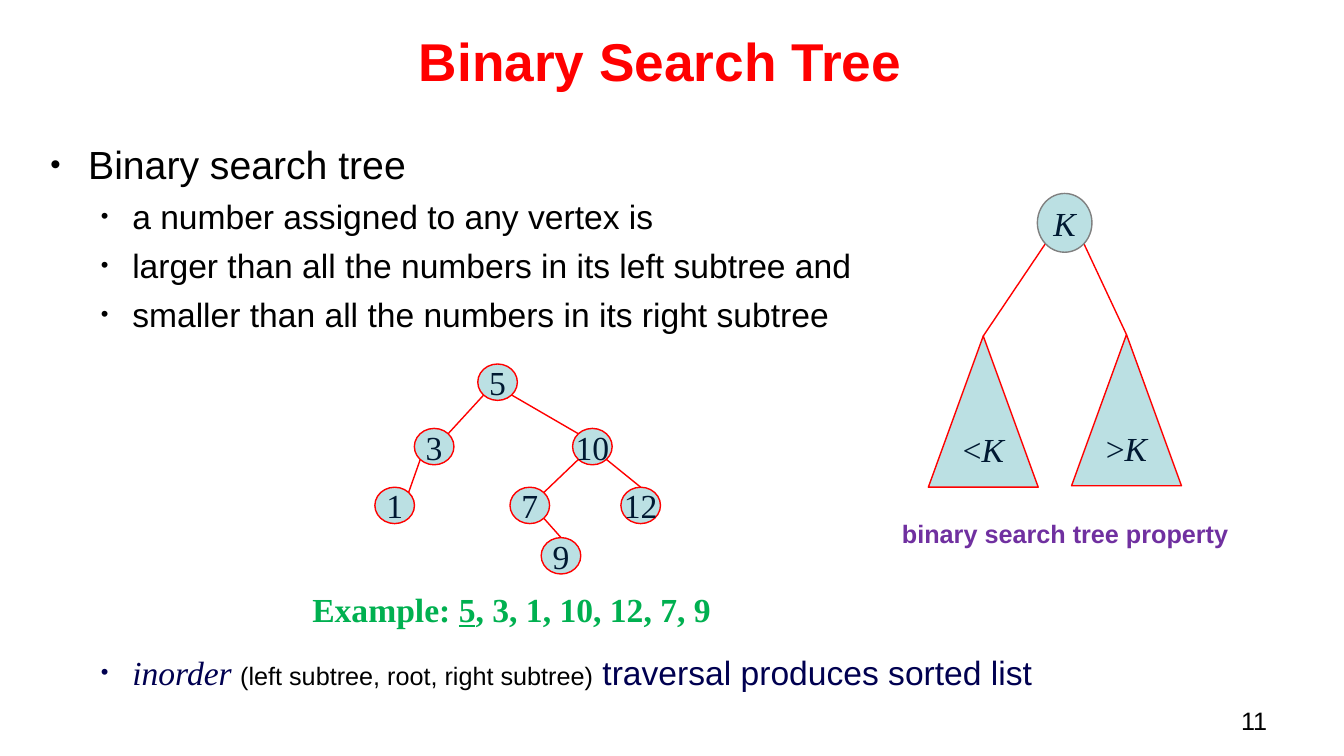
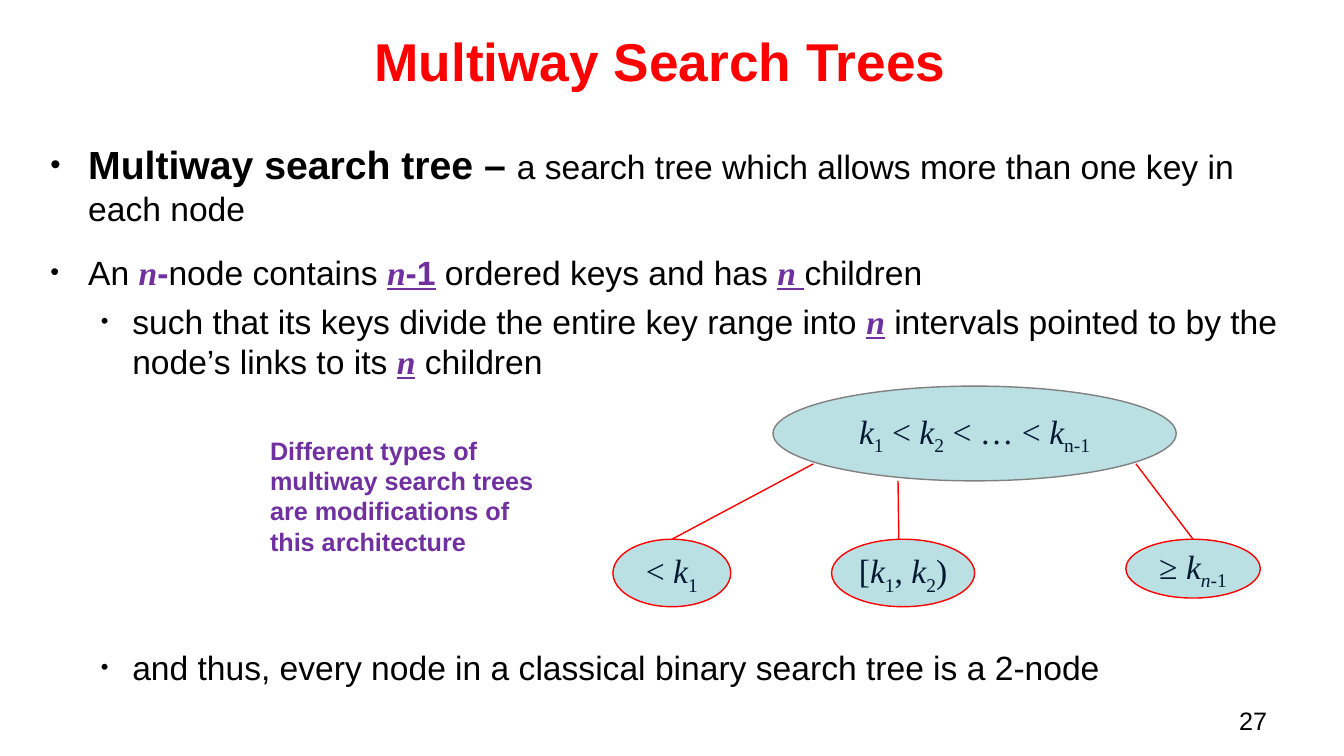
from dataclasses import asdict, dataclass
from typing import NamedTuple

from lxml import etree
from pptx import Presentation
from pptx.dml.color import RGBColor
from pptx.enum.shapes import MSO_CONNECTOR, MSO_SHAPE
from pptx.enum.text import MSO_ANCHOR, PP_ALIGN
from pptx.oxml.ns import qn
from pptx.util import Pt

ELLIPSE = MSO_SHAPE.OVAL
TRIANGLE = MSO_SHAPE.ISOSCELES_TRIANGLE
STRAIGHT = MSO_CONNECTOR.STRAIGHT
LEFT, CENTER, RIGHT = PP_ALIGN.LEFT, PP_ALIGN.CENTER, PP_ALIGN.RIGHT
TOP, MIDDLE = MSO_ANCHOR.TOP, MSO_ANCHOR.MIDDLE
BLANK_LAYOUT = 6


@dataclass(frozen=True)
class Theme:
    sans: str = "Arial"
    serif: str = "Times New Roman"
    title_size: float = 38
    heading_size: float = 28
    body_size: float = 24
    small_size: float = 18
    title: str = "FF0000"
    text: str = "000000"
    accent: str = "7030A0"
    example: str = "00B050"
    navy: str = "000050"
    label: str = "001932"
    node_fill: str = "BBE0E3"
    edge: str = "FF0000"
    root_line: str = "808080"
    line_width: float = 1


THEME = Theme()


class Box(NamedTuple):
    left: float
    top: float
    width: float
    height: float


class Anchor(NamedTuple):
    """A place on a node, as fractions of its width and height."""
    across: float
    down: float


@dataclass(frozen=True)
class Span:
    text: str
    size: float = THEME.body_size
    font: str = THEME.sans
    color: str = THEME.text
    bold: bool = False
    italic: bool = False
    underline: bool = False
    subscript: bool = False


@dataclass(frozen=True)
class Bullet:
    spans: list[Span]
    level: int = 0
    space_before: float = 6


@dataclass(frozen=True)
class Node:
    box: Box
    label: list[Span]
    shape: MSO_SHAPE = ELLIPSE
    line: str = THEME.edge


class Edge(NamedTuple):
    parent: str
    start: Anchor
    child: str
    end: Anchor


class BulletStyle(NamedTuple):
    margin: float
    indent: float
    percent: int


BULLET_STYLES = (BulletStyle(27, -27, 75), BulletStyle(58.5, -22.5, 65))

# The diagonal points of an ellipse lie this far in from its box.
INSET = 0.15
TOP_LEFT, TOP_MID, TOP_RIGHT = Anchor(INSET, INSET), Anchor(0.5, 0), Anchor(1 - INSET, INSET)
BOTTOM_LEFT, BOTTOM_RIGHT = Anchor(INSET, 1 - INSET), Anchor(1 - INSET, 1 - INSET)

TITLE_BOX = Box(36, 26.6, 871.2, 39.6)
BODY_BOX = Box(36, 100.5, 900, 413)
NUMBER_BOX = Box(688.3, 500.4, 223.9, 28.8)


def points(*lengths: float) -> list[Pt]:
    return [Pt(length) for length in lengths]


def add_run(paragraph, text: str, *, size: float, font: str, color: str, bold: bool,
            italic: bool, underline: bool, subscript: bool) -> None:
    run = paragraph.add_run()
    run.text = text
    run.font.size = Pt(size)
    run.font.name = font
    run.font.color.rgb = RGBColor.from_string(color)
    run.font.bold = bold
    run.font.italic = italic
    run.font.underline = underline
    if subscript:
        run.font._element.set("baseline", "-25000")


def write_spans(paragraph, spans: list[Span], align: PP_ALIGN = LEFT) -> None:
    paragraph.alignment = align
    for span in spans:
        add_run(paragraph, **asdict(span))


def add_text(slide, box: Box, spans: list[Span], align: PP_ALIGN = LEFT,
             anchor: MSO_ANCHOR = TOP, inset: bool = True):
    """Add a text box and return its frame; an empty span list leaves it unfilled."""
    frame = slide.shapes.add_textbox(*points(*box)).text_frame
    frame.word_wrap = True
    frame.vertical_anchor = anchor
    if not inset:
        frame.margin_left = frame.margin_right = frame.margin_top = frame.margin_bottom = 0
    write_spans(frame.paragraphs[0], spans, align)
    return frame


def add_bullet_mark(paragraph, style: BulletStyle) -> None:
    properties = paragraph._p.get_or_add_pPr()
    properties.set("marL", str(Pt(style.margin)))
    properties.set("indent", str(Pt(style.indent)))
    for tag, attribute, value in (("a:buSzPct", "val", str(style.percent * 1000)),
                                  ("a:buFont", "typeface", THEME.sans),
                                  ("a:buChar", "char", "•")):
        etree.SubElement(properties, qn(tag)).set(attribute, value)


def add_bullets(slide, bullets: list[Bullet]) -> None:
    frame = add_text(slide, BODY_BOX, [], inset=False)
    for index, bullet in enumerate(bullets):
        paragraph = frame.add_paragraph() if index else frame.paragraphs[0]
        add_bullet_mark(paragraph, BULLET_STYLES[bullet.level])
        paragraph.space_before = Pt(bullet.space_before if index else 0)
        write_spans(paragraph, bullet.spans)


def add_node(slide, node: Node) -> None:
    shape = slide.shapes.add_shape(node.shape, *points(*node.box))
    shape.shadow.inherit = False
    shape.fill.solid()
    shape.fill.fore_color.rgb = RGBColor.from_string(THEME.node_fill)
    shape.line.color.rgb = RGBColor.from_string(node.line)
    shape.line.width = Pt(THEME.line_width)
    frame = shape.text_frame
    frame.word_wrap = False
    frame.vertical_anchor = MIDDLE
    write_spans(frame.paragraphs[0], node.label, CENTER)


def locate(box: Box, anchor: Anchor) -> list[Pt]:
    return points(box.left + anchor.across * box.width, box.top + anchor.down * box.height)


def add_tree(slide, nodes: dict[str, Node], edges: list[Edge]) -> None:
    for edge in edges:
        start = locate(nodes[edge.parent].box, edge.start)
        end = locate(nodes[edge.child].box, edge.end)
        link = slide.shapes.add_connector(STRAIGHT, *start, *end)
        link.line.color.rgb = RGBColor.from_string(THEME.edge)
        link.line.width = Pt(THEME.line_width)
        etree.SubElement(link._element.spPr, qn("a:effectLst"))
    for node in nodes.values():
        add_node(slide, node)


def start_slide(deck, title: str, number: int):
    slide = deck.slides.add_slide(deck.slide_layouts[BLANK_LAYOUT])
    heading = Span(title, size=THEME.title_size, color=THEME.title, bold=True)
    frame = add_text(slide, TITLE_BOX, [heading], CENTER, MIDDLE, inset=False)
    frame.paragraphs[0].line_spacing = Pt(39.2)
    add_text(slide, NUMBER_BOX, [Span(str(number), size=THEME.small_size)], RIGHT)
    return slide


def label(text: str, italic: bool = False, subscript: bool = False) -> Span:
    return Span(text, font=THEME.serif, color=THEME.label, italic=italic, subscript=subscript)


def key(subscript: str) -> list[Span]:
    return [label("k", italic=True), label(subscript, subscript=True)]


def remark(text: str) -> Span:
    return Span(text, size=THEME.small_size, color=THEME.accent, bold=True)


def variable(text: str, underline: bool = True) -> Span:
    return Span(text, font=THEME.serif, color=THEME.accent, bold=True, italic=True,
                underline=underline)


def build_binary_slide(deck) -> None:
    slide = start_slide(deck, "Binary Search Tree", 11)
    conditions = ("a number assigned to any vertex is",
                  "larger than all the numbers in its left subtree and",
                  "smaller than all the numbers in its right subtree")
    traversal = [Span("inorder ", font=THEME.serif, color=THEME.navy, italic=True),
                 Span("(left subtree, root, right subtree)", size=THEME.small_size),
                 Span(" traversal produces sorted list", color=THEME.navy)]
    add_bullets(slide, [
        Bullet([Span("Binary search tree", size=THEME.heading_size)]),
        *(Bullet([Span(condition)], level=1) for condition in conditions),
        Bullet(traversal, level=1, space_before=227),
    ])

    example = Span("Example: ", font=THEME.serif, color=THEME.example, bold=True)
    first = Span("5", font=THEME.serif, color=THEME.example, bold=True, underline=True)
    rest = Span(", 3, 1, 10, 12, 7, 9", font=THEME.serif, color=THEME.example, bold=True)
    add_text(slide, Box(216, 416.9, 324, 36), [example, first, rest])

    rows = {260: {"5": 341.3}, 306: {"3": 296, "10": 409},
            348: {"1": 267.8, "7": 364.3, "12": 443.5}, 384: {"9": 386.6}}
    numbers = {value: Node(Box(left, top, 28.3, 26), [label(value)])
               for top, row in rows.items() for value, left in row.items()}
    add_tree(slide, numbers, [
        Edge("5", BOTTOM_LEFT, "3", TOP_RIGHT),
        Edge("3", BOTTOM_LEFT, "1", TOP_RIGHT),
        Edge("5", BOTTOM_RIGHT, "10", TOP_LEFT),
        Edge("10", BOTTOM_LEFT, "7", TOP_RIGHT),
        Edge("7", BOTTOM_RIGHT, "9", TOP_MID),
        Edge("10", BOTTOM_RIGHT, "12", TOP_MID),
    ])

    k = label("K", italic=True)
    subtrees = {
        "smaller": Node(Box(663.1, 240, 78.5, 108), [label("<"), k], TRIANGLE),
        "larger": Node(Box(765.4, 239, 78.5, 108), [label(">"), k], TRIANGLE),
        "root": Node(Box(741, 138.2, 39, 42), [k], line=THEME.root_line),
    }
    add_tree(slide, subtrees, [Edge("root", BOTTOM_LEFT, "smaller", TOP_MID),
                               Edge("root", BOTTOM_RIGHT, "larger", TOP_MID)])
    add_text(slide, Box(637.2, 366.5, 298.8, 28.8), [remark("binary search tree property")])


def build_multiway_slide(deck) -> None:
    slide = start_slide(deck, "Multiway Search Trees", 27)
    n = variable("n")
    add_bullets(slide, [
        Bullet([Span("Multiway search tree – ", size=THEME.heading_size, bold=True),
                Span("a search tree which allows more than one key in each node")]),
        Bullet([Span("An "), variable("n", underline=False),
                Span("-", color=THEME.accent, bold=True), Span("node contains "), n,
                Span("-1", color=THEME.accent, bold=True, underline=True),
                Span(" ordered keys and has "), variable("n "), Span("children")],
               space_before=17),
        Bullet([Span("such that its keys divide the entire key range into "), n,
                Span(" intervals pointed to by the node’s links to its "), n,
                Span(" children")], level=1),
        Bullet([Span("and thus, every node in a classical binary search tree is a 2-node")],
               level=1, space_before=190),
    ])

    last_key = [label("k", italic=True), label("n-", italic=True, subscript=True),
                label("1", subscript=True)]
    ordered_keys = [*key("1"), label(" < "), *key("2"), label(" < … < "), *key("n-1")]
    intervals = {
        "root": Node(Box(552.2, 275.8, 288, 67.7), ordered_keys, line=THEME.root_line),
        "first": Node(Box(437.8, 385.2, 84.2, 48.2), [label("< "), *key("1")]),
        "second": Node(Box(594, 385.2, 102.2, 48.2),
                       [label("["), *key("1"), label(", "), *key("2"), label(")")]),
        "last": Node(Box(804.2, 385.2, 96, 42), [label("≥ "), *last_key]),
    }
    add_tree(slide, intervals, [
        Edge("root", Anchor(0.1, 0.82), "first", TOP_MID),
        Edge("root", Anchor(0.31, 1), "second", Anchor(0.47, 0)),
        Edge("root", Anchor(0.9, 0.82), "last", TOP_MID),
    ])
    add_text(slide, Box(185.8, 307.4, 216, 94.3), [remark(
        "Different types of multiway search trees are modifications of this architecture")])


def main() -> None:
    deck = Presentation()
    deck.slide_width, deck.slide_height = points(960, 540)
    build_binary_slide(deck)
    build_multiway_slide(deck)
    deck.save("out.pptx")


if __name__ == "__main__":
    main()
